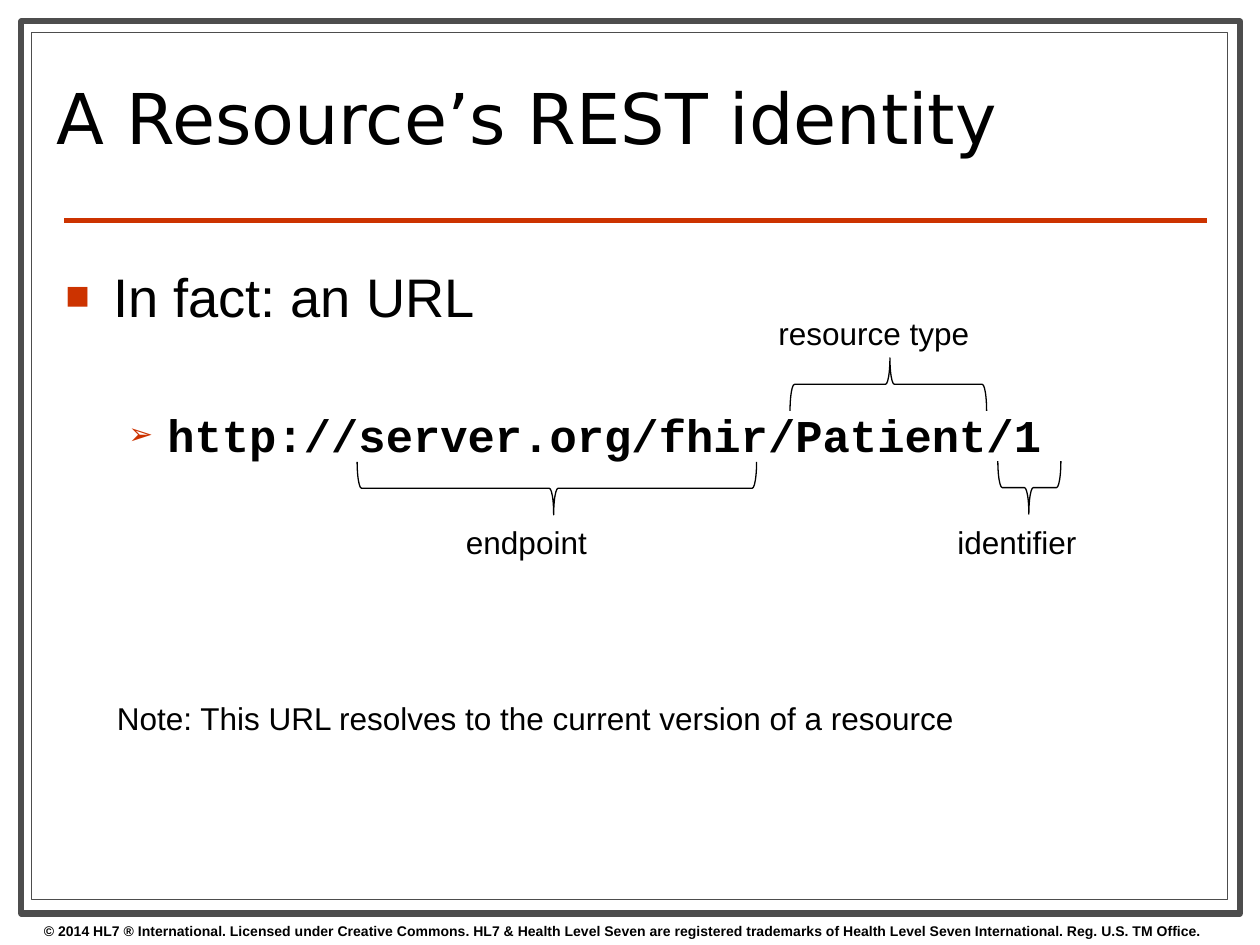
from lxml import etree
from pptx import Presentation
from pptx.dml.color import RGBColor
from pptx.enum.shapes import MSO_CONNECTOR, MSO_SHAPE
from pptx.enum.text import MSO_ANCHOR, MSO_AUTO_SIZE, PP_ALIGN
from pptx.oxml.ns import qn
from pptx.util import Inches, Pt

LINE = MSO_CONNECTOR.STRAIGHT
RECTANGLE = MSO_SHAPE.RECTANGLE
LEFT_BRACE = MSO_SHAPE.LEFT_BRACE
MIDDLE = MSO_ANCHOR.MIDDLE
LEFT = PP_ALIGN.LEFT
NO_AUTOFIT = MSO_AUTO_SIZE.NONE

COLUMNS, ROWS = 100, 75
POINT_UP, POINT_DOWN = 90, 270
BRACE_DEPTH = 4.2


def color(value):
    return RGBColor.from_string(value)


class SlideBuilder:
    ink = "000000"
    paper = "FFFFFF"
    border = "4D4D4D"
    accent = "CC3300"
    body_font = "Arial"
    title_font = "DejaVu Sans"
    code_font = "Courier New"

    def __init__(self, presentation):
        self.column = presentation.slide_width / COLUMNS
        self.row = presentation.slide_height / ROWS
        self.slide = presentation.slides.add_slide(presentation.slide_layouts[5])

    def box(self, left, top, width, height):
        return (round(left * self.column), round(top * self.row),
                round(width * self.column), round(height * self.row))

    def format_text(self, paragraph, size, font=None, bold=False):
        for run in paragraph.runs:
            run.font.name = font or self.body_font
            run.font.size = Pt(size)
            run.font.bold = bold
            run.font.color.rgb = color(self.ink)

    def frame(self, left, top, width, height, weight):
        shape = self.slide.shapes.add_shape(RECTANGLE, *self.box(left, top, width, height))
        shape.shadow.inherit = False
        shape.fill.solid()
        shape.fill.fore_color.rgb = color(self.paper)
        shape.line.color.rgb = color(self.border)
        shape.line.width = Pt(weight)

    def rule(self, left, right, top, weight):
        x, y, width, _ = self.box(left, top, right - left, 0)
        line = self.slide.shapes.add_connector(LINE, x, y, x + width, y)
        line.line.color.rgb = color(self.accent)
        line.line.width = Pt(weight)
        etree.SubElement(line.element.spPr, qn("a:effectLst"))

    def title(self, text, left, top, width, height):
        title = self.slide.shapes.title
        title.element.getparent().append(title.element)
        title.left, title.top, title.width, title.height = self.box(left, top, width, height)
        text_frame = title.text_frame
        text_frame.text = text
        text_frame.auto_size = NO_AUTOFIT
        text_frame.vertical_anchor = MIDDLE
        paragraph = text_frame.paragraphs[0]
        paragraph.alignment = LEFT
        paragraph.line_spacing = 0.8
        self.format_text(paragraph, 40, self.title_font)

    def text(self, text, left, top, width, height, size=18, bold=False, wrap=False):
        shape = self.slide.shapes.add_textbox(*self.box(left, top, width, height))
        shape.text_frame.word_wrap = wrap
        shape.text_frame.text = text
        self.format_text(shape.text_frame.paragraphs[0], size, bold=bold)
        return shape.text_frame

    def bullet(self, paragraph, symbol, percent, margin, hanging):
        properties = paragraph._p.get_or_add_pPr()
        properties.set("marL", str(Inches(margin)))
        properties.set("indent", str(-Inches(hanging)))
        bullet_color = etree.SubElement(properties, qn("a:buClr"))
        etree.SubElement(bullet_color, qn("a:srgbClr"), val=self.accent)
        etree.SubElement(properties, qn("a:buSzPct"), val=str(percent * 1000))
        etree.SubElement(properties, qn("a:buFont"), typeface=self.body_font)
        etree.SubElement(properties, qn("a:buChar"), char=symbol)

    def url_list(self, heading, url, left, top, width, height):
        text_frame = self.text(heading, left, top, width, height, size=31, wrap=True)
        self.bullet(text_frame.paragraphs[0], "■", 75, 0.38, 0.38)
        paragraph = text_frame.add_paragraph()
        paragraph.text = url
        paragraph.level = 1
        paragraph.space_before = Pt(45)
        self.bullet(paragraph, "➢", 65, 0.81, 0.31)
        self.format_text(paragraph, 26, self.code_font, bold=True)

    def brace(self, left, top, span, rotation):
        inset = (span - BRACE_DEPTH) / 2
        shape = self.slide.shapes.add_shape(
            LEFT_BRACE, *self.box(left + inset, top - inset, BRACE_DEPTH, span))
        shape.rotation = rotation
        shape.adjustments[0] = 0.083
        shape.adjustments[1] = 0.492
        shape.shadow.inherit = False
        shape.fill.background()
        shape.line.color.rgb = color(self.ink)
        shape.line.width = Pt(0.75)


def main():
    presentation = Presentation()
    presentation.slide_width = Inches(10)
    presentation.slide_height = Inches(7.5)
    builder = SlideBuilder(presentation)

    builder.frame(1.7, 1.7, 96.7, 70.8, 3.5)
    builder.frame(2.5, 2.6, 94.9, 68.8, 0.75)
    builder.rule(5.1, 95.8, 17.5, 3)
    builder.text(
        "© 2014 HL7 ® International. Licensed under Creative Commons. "
        "HL7 & Health Level Seven are registered trademarks of "
        "Health Level Seven International. Reg. U.S. TM Office.",
        2.5, 72.7, 97.5, 2.3, size=8, bold=True, wrap=True)

    builder.title("A Resource’s REST identity", 3.5, 3.6, 80.2, 12.6)
    builder.url_list("In fact: an URL", "http://server.org/fhir/Patient/1",
                     4.2, 20.4, 91.7, 48.6)

    for label, label_box, brace in (
        ("endpoint", (36, 41, 11.7, 4), (28.35, 36.65, 31.7, POINT_DOWN)),
        ("resource type", (60.8, 24.4, 17.3, 4), (62.7, 28.4, 15.6, POINT_UP)),
        ("identifier", (75, 41, 11.6, 4), (79.2, 36.6, 5, POINT_DOWN)),
    ):
        builder.brace(*brace)
        builder.text(label, *label_box)

    builder.text("Note: This URL resolves to the current version of a resource",
                 8.3, 55, 69.1, 4)
    presentation.save("out.pptx")


if __name__ == "__main__":
    main()
